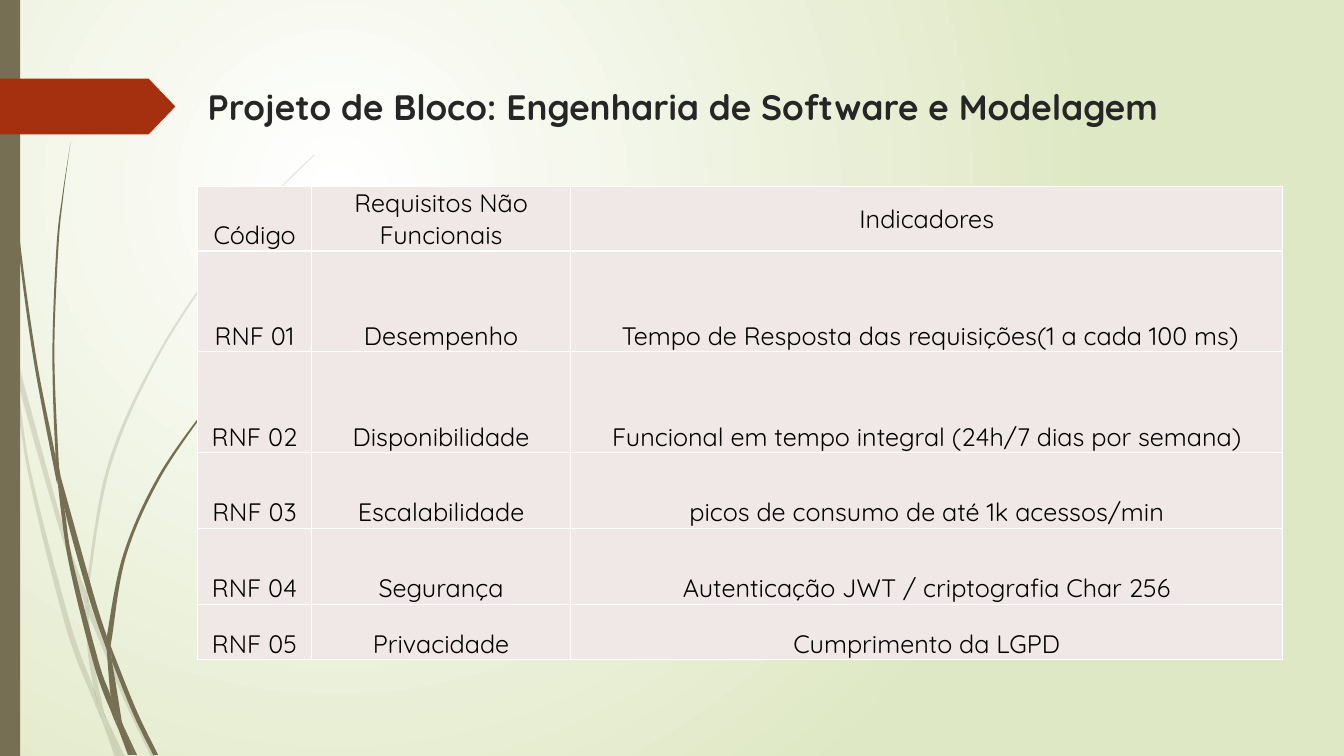
"""Builds the slide listing the non-functional requirements of the project."""
from lxml import etree
from pptx import Presentation
from pptx.dml.color import RGBColor
from pptx.enum.shapes import MSO_SHAPE
from pptx.enum.text import MSO_ANCHOR, MSO_AUTO_SIZE, PP_ALIGN
from pptx.oxml import parse_xml
from pptx.oxml.ns import nsdecls, qn
from pptx.util import Cm, Pt

RECTANGLE, ARROW_TAG = MSO_SHAPE.RECTANGLE, MSO_SHAPE.PENTAGON
TOP, MIDDLE, BOTTOM = MSO_ANCHOR.TOP, MSO_ANCHOR.MIDDLE, MSO_ANCHOR.BOTTOM
LEFT, CENTER = PP_ALIGN.LEFT, PP_ALIGN.CENTER
NO_AUTOFIT = MSO_AUTO_SIZE.NONE

WHITE = RGBColor(0xFF, 0xFF, 0xFF)
BLACK = RGBColor(0x00, 0x00, 0x00)
CHARCOAL = RGBColor(0x26, 0x26, 0x26)
LIGHT_GREEN = RGBColor(0xDF, 0xE8, 0xC4)
OLIVE = RGBColor(0x76, 0x6F, 0x54)
RUST = RGBColor(0xA5, 0x30, 0x10)
ROSE = RGBColor(0xF0, 0xE8, 0xE7)
FONT = "Quicksand"
POINT_SCALE = Cm(2.54) / 10000

PALE_BLADES = [
    ([(11, 350), (9, 322), (0, 282)], [(0, 299), (10, 344), (11, 350)]),
    ([(14, 345), (62, 520), (85, 586)], [(84, 599), (58, 522), (17, 376), (14, 345)]),
    ([(88, 596), (92, 607), (127, 692), (155, 751)], [(150, 751), (123, 694), (88, 610)]),
    ([(105, 711), (124, 751)], [(119, 751), (105, 711)]),
    ([(11, 350), (17, 376), (31, 469), (70, 619), (93, 683), (99, 707), (101, 714)],
     [(101, 714), (92, 693), (65, 621), (28, 470), (11, 350)]),
    ([(84, 599), (88, 610), (91, 646), (103, 706), (105, 711)],
     [(105, 711), (96, 692), (93, 683), (87, 646), (84, 599)]),
    ([(312, 153), (289, 175), (268, 197), (228, 244), (158, 348), (107, 461), (85, 586)],
     [(88, 596), (88, 584), (110, 462), (160, 349), (229, 245), (268, 198), (312, 154)]),
    ([(101, 714), (119, 751)], [(114, 751), (101, 714)]),
    ([(85, 586), (88, 596), (88, 610)], [(88, 608), (84, 599)]),
    ([(93, 683), (96, 692), (105, 711), (119, 751)], [(119, 751), (101, 714), (99, 707)]),
]
DARK_BLADES = [
    ([(4, 0), (5, 48), (8, 109), (19, 232), (36, 355), (55, 453), (57, 481)],
     [(56, 477), (33, 355), (17, 233), (7, 110), (4, 48), (3, 0)]),
    ([(60, 472), (93, 590), (106, 631)], [(106, 645), (88, 592), (64, 505), (60, 472)]),
    ([(110, 641), (113, 649), (136, 706), (157, 749)], [(152, 749), (132, 708), (111, 656)]),
    ([(57, 477), (64, 505), (72, 556), (98, 657), (110, 691), (117, 722)],
     [(117, 722), (111, 708), (93, 659), (68, 557), (57, 477)]),
    ([(70, 141), (63, 193), (58, 245), (54, 349), (58, 453), (60, 472)],
     [(60, 472), (55, 449), (52, 349), (56, 245), (62, 193), (70, 141)]),
    ([(122, 719), (136, 749)], [(133, 749), (122, 719)]),
    ([(55, 449), (60, 472), (64, 505)], [(57, 477), (55, 453)]),
    ([(260, 344), (245, 358), (231, 373), (204, 405), (156, 474), (122, 551), (106, 631)],
     [(110, 641), (111, 633), (125, 552), (158, 476), (205, 406), (231, 374), (261, 344)]),
    ([(117, 722), (131, 749)], [(127, 749), (117, 722)]),
    ([(106, 645), (111, 656), (121, 716), (122, 719)], [(116, 706), (110, 691), (106, 645)]),
    ([(106, 631), (110, 641), (111, 656)], [(109, 651), (106, 645)]),
    ([(110, 691), (116, 706), (122, 719), (133, 749)], [(130, 749), (117, 722), (116, 717)]),
]
REQUIREMENTS = [
    ("Código", "Requisitos Não Funcionais", "Indicadores"),
    ("RNF 01", "Desempenho", " Tempo de Resposta das requisições(1 a cada 100 ms)"),
    ("RNF 02", "Disponibilidade", "Funcional em tempo integral (24h/7 dias por semana)"),
    ("RNF 03", "Escalabilidade", "picos de consumo de até 1k acessos/min"),
    ("RNF 04", "Segurança", "Autenticação JWT / criptografia Char 256"),
    ("RNF 05", "Privacidade", "Cumprimento da LGPD"),
]
COLUMN_WIDTHS = [2.87, 6.53, 17.95]
ROW_HEIGHTS = [1.4, 2.54, 2.54, 1.91, 1.91, 1.4]


def write_text(frame, text, size=18, color=BLACK, bold=False, align=CENTER):
    frame.text = text
    paragraph = frame.paragraphs[0]
    paragraph.alignment = align
    font = paragraph.runs[0].font
    font.name, font.size, font.bold = FONT, Pt(size), bold
    font.color.rgb = color


def bend_edge(edge, segments, origin):
    padded = [edge[0], *edge, edge[-1]]
    for segment, before, start, end, after in zip(
            segments, padded, padded[1:], padded[2:], padded[3:]):
        curve = etree.Element(qn("a:cubicBezTo"))
        controls = [
            [s + (e - b) / 6 for b, s, e in zip(before, start, end)],
            [e - (a - s) / 6 for s, e, a in zip(start, end, after)],
            end]
        for point in controls:
            x, y = (round((value - low) * 100) for value, low in zip(point, origin))
            etree.SubElement(curve, qn("a:pt"), x=str(x), y=str(y))
        segment.getparent().replace(segment, curve)


presentation = Presentation()
presentation.slide_width = Cm(33.87)
presentation.slide_height = Cm(19.05)
slide = presentation.slides.add_slide(presentation.slide_layouts[5])
master_tree = presentation.slide_master.shapes.element

background = slide.background.fill
background.gradient()
for stop, color, position in zip(background.gradient_stops, (WHITE, LIGHT_GREEN), (0, 1)):
    stop.color.rgb = color
    stop.position = position
gradient = slide.element.find(".//" + qn("a:gradFill"))
gradient.replace(gradient.find(qn("a:lin")), parse_xml(
    f'<a:path {nsdecls("a")} path="circle">'
    '<a:fillToRect l="50000" t="50000" r="100000" b="100000"/></a:path>'))

for blades, opacity in ((PALE_BLADES, 20), (DARK_BLADES, 100)):
    group = slide.shapes.add_group_shape()
    for outward_edge, return_edge in blades:
        anchors = outward_edge + return_edge
        outline = [(x * 100, y * 100) for x, y in anchors]
        builder = group.shapes.build_freeform(*outline[0], scale=POINT_SCALE)
        builder.add_line_segments(outline[1:], close=True)
        blade = builder.convert_to_shape()
        segments = list(blade.element.iter(qn("a:lnTo")))
        origin = [min(values) for values in zip(*anchors)]
        bend_edge(outward_edge, segments, origin)
        bend_edge(return_edge, segments[len(outward_edge):], origin)
        blade.shadow.inherit = False
        blade.line.fill.background()
        blade.fill.solid()
        blade.fill.fore_color.rgb = OLIVE
        if opacity < 100:
            fill_color = blade.element.spPr.find(qn("a:solidFill"))[0]
            etree.SubElement(fill_color, qn("a:alpha"), val=str(opacity * 1000))
    master_tree.append(group.element)

for kind, top, width, height, color in (
        (RECTANGLE, 0, 0.51, 19.05, OLIVE),
        (ARROW_TAG, 1.98, 4.42, 1.41, RUST)):
    shape = slide.shapes.add_shape(kind, 0, Cm(top), Cm(width), Cm(height))
    shape.shadow.inherit = False
    shape.line.fill.background()
    shape.fill.solid()
    shape.fill.fore_color.rgb = color
    if kind == ARROW_TAG:
        shape.adjustments[0] = 0.48
    master_tree.append(shape.element)

title = slide.shapes.title
title.left, title.top, title.width, title.height = Cm(4.98), Cm(2.01), Cm(25.1), Cm(1.75)
title.text_frame.auto_size = NO_AUTOFIT
title.text_frame.vertical_anchor = TOP
write_text(title.text_frame, "Projeto de Bloco: Engenharia de Software e Modelagem",
           size=25.2, color=CHARCOAL, bold=True, align=LEFT)

table = slide.shapes.add_table(
    len(ROW_HEIGHTS), len(COLUMN_WIDTHS), Cm(4.98), Cm(4.7),
    Cm(sum(COLUMN_WIDTHS)), Cm(sum(ROW_HEIGHTS))).table
table.first_row = table.horz_banding = False
for column, width in zip(table.columns, COLUMN_WIDTHS):
    column.width = Cm(width)
for row, height, texts in zip(table.rows, ROW_HEIGHTS, REQUIREMENTS):
    row.height = Cm(height)
    for cell, text in zip(row.cells, texts):
        write_text(cell.text_frame, text)
        cell.margin_left = cell.margin_right = cell.margin_top = Cm(0.03)
        cell.margin_bottom = 0
        cell.vertical_anchor = MIDDLE if text == "Indicadores" else BOTTOM
        cell.fill.solid()
        cell.fill.fore_color.rgb = ROSE
        properties = cell._tc.get_or_add_tcPr()
        for index, side in enumerate(("lnL", "lnR", "lnT", "lnB")):
            properties.insert(index, parse_xml(
                f'<a:{side} {nsdecls("a")} w="{Pt(1)}"><a:solidFill>'
                f'<a:srgbClr val="{WHITE}"/></a:solidFill></a:{side}>'))

presentation.save("out.pptx")
